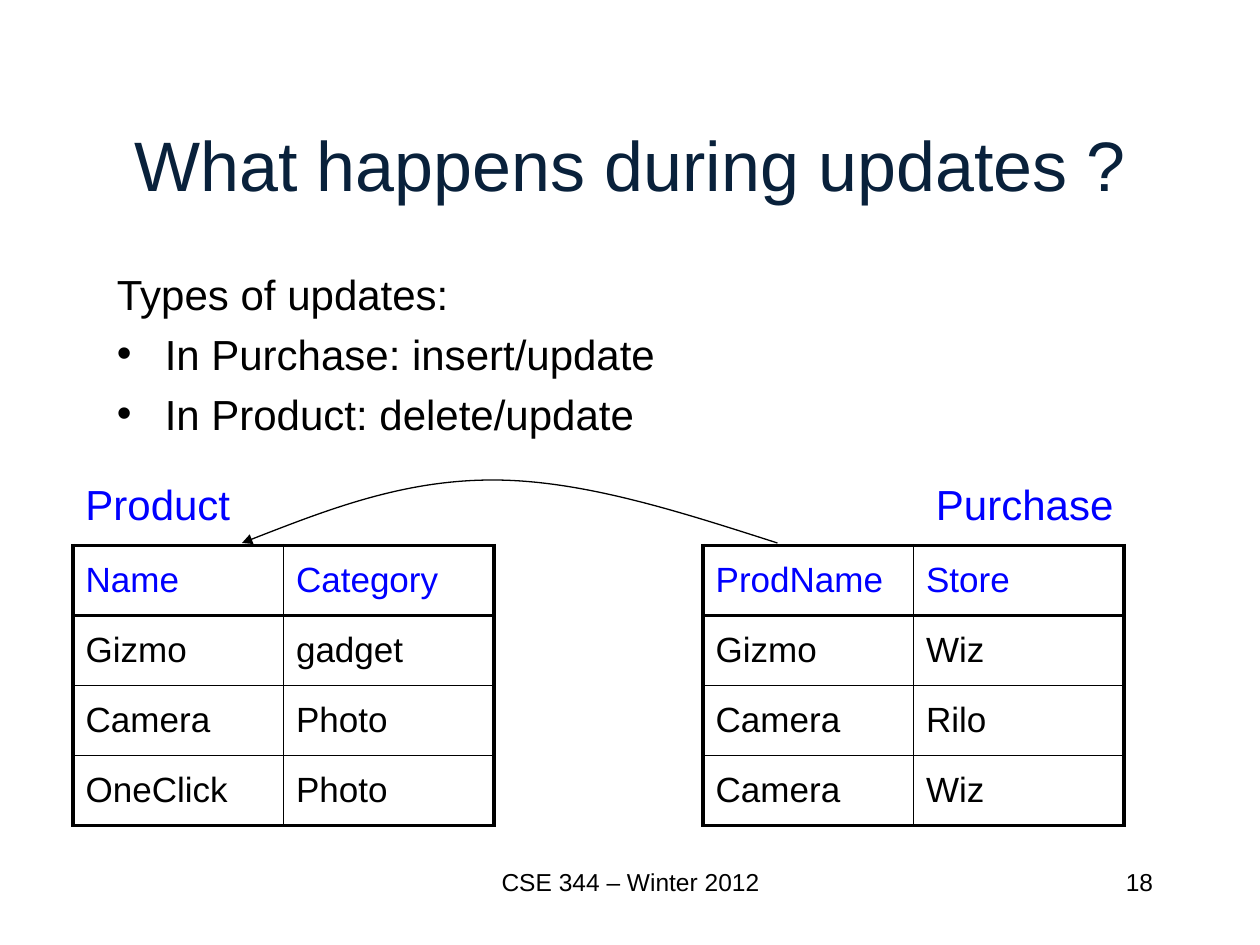
import pptx
import pptx.util
import pptx.dml.color
import pptx.enum.text
import pptx.oxml
import pptx.oxml.ns
from lxml import etree

Inches, Pt = pptx.util.Inches, pptx.util.Pt
qn = pptx.oxml.ns.qn
ALIGN = pptx.enum.text.PP_ALIGN
MIDDLE = pptx.enum.text.MSO_ANCHOR.MIDDLE
COLORS = {"title": "09213B", "accent": "0000FF", "text": "000000", "line": "000000"}


def rgb(name):
    return pptx.dml.color.RGBColor.from_string(COLORS[name])


class Deck:
    font = "Arial"
    thick, thin = 2.25, 1

    def __init__(self, width, height):
        self.prs = pptx.Presentation()
        self.prs.slide_width, self.prs.slide_height = Inches(width), Inches(height)
        self.s = self.prs.slides.add_slide(self.prs.slide_layouts[6])

    def run(self, p, text, size, color):
        r = p.add_run()
        r.text = text
        r.font.name, r.font.size = self.font, Pt(size)
        r.font.color.rgb = rgb(color)

    def text(self, box, lines, size, color="text", align=ALIGN.LEFT,
             anchor=pptx.enum.text.MSO_ANCHOR.TOP, wrap=True, before=0):
        tf = self.s.shapes.add_textbox(*map(Inches, box)).text_frame
        tf.word_wrap, tf.vertical_anchor = wrap, anchor
        for i, line in enumerate(lines):
            p = tf.add_paragraph() if i else tf.paragraphs[0]
            p.alignment, p.space_before = align, Pt(before)
            self.run(p, line, size, color)
        return tf

    def bullet(self, p, indent):
        pPr = p._p.get_or_add_pPr()
        pPr.set("marL", str(Inches(indent)))
        pPr.set("indent", str(-Inches(indent)))
        etree.SubElement(pPr, qn("a:buFont")).set("typeface", self.font)
        etree.SubElement(pPr, qn("a:buChar")).set("char", "•")

    def border(self, cell, side, width):
        ln = etree.Element(qn("a:ln" + side), w=str(Pt(width)))
        fill = etree.SubElement(ln, qn("a:solidFill"))
        etree.SubElement(fill, qn("a:srgbClr")).set("val", COLORS["line"])
        return ln

    def table(self, left, top, col_width, row_height, rows, size):
        n, m = len(rows), len(rows[0])
        table = self.s.shapes.add_table(
            n, m, Inches(left), Inches(top),
            Inches(col_width * m), Inches(row_height * n)).table
        table.first_row = table.horz_banding = False
        for i, row in enumerate(rows):
            for j, value in enumerate(row):
                cell = table.cell(i, j)
                cell.vertical_anchor = MIDDLE
                p = cell.text_frame.paragraphs[0]
                p.space_before = Pt(size * 0.2)
                self.run(p, value, size, "text" if i else "accent")
                # Thick outer frame and header rule, thin inner lines
                heavy = {"L": j == 0, "R": j == m - 1, "T": i < 2, "B": i in (0, n - 1)}
                for side, is_heavy in heavy.items():
                    width = self.thick if is_heavy else self.thin
                    cell._tc.get_or_add_tcPr().append(self.border(cell, side, width))
                cell.fill.background()

    def curve_arrow(self, start, points, width):
        """Draw cubic curves; points holds two controls and an end for each."""
        fb = self.s.shapes.build_freeform(*map(Inches, start), scale=1.0)
        fb.add_line_segments([(Inches(x), Inches(y)) for x, y in points], close=False)
        sp = fb.convert_to_shape()
        sp.shadow.inherit = False
        sp.fill.background()
        sp.line.color.rgb, sp.line.width = rgb("line"), Pt(width)
        segments = list(sp._element.iter(qn("a:lnTo")))
        for k in range(0, len(segments), 3):
            cubic = etree.Element(qn("a:cubicBezTo"))
            segments[k].addprevious(cubic)
            for segment in segments[k:k + 3]:
                cubic.append(segment[0])
                segment.getparent().remove(segment)
        ln = sp.line._get_or_add_ln()
        etree.SubElement(ln, qn("a:tailEnd")).set("type", "triangle")


deck = Deck(10, 7.5)

# Title and body
deck.text((0.75, 0.67, 8.5, 1.25), ["What happens during updates ?"], 40,
          "title", ALIGN.CENTER, MIDDLE)
body = deck.text((0.83, 2.08, 8.5, 4.5),
                 ["Types of updates:", "In Purchase: insert/update",
                  "In Product: delete/update"], 24, before=5.5)
for p in body.paragraphs[1:]:
    deck.bullet(p, 0.38)

# Tables with their names
product = [("Name", "Category"), ("Gizmo", "gadget"), ("Camera", "Photo"),
           ("OneClick", "Photo")]
purchase = [("ProdName", "Store"), ("Gizmo", "Wiz"), ("Camera", "Rilo"),
            ("Camera", "Wiz")]
for left, rows in ((0.58, product), (5.58, purchase)):
    deck.table(left, 4.33, 1.67, 0.556, rows, 20)
for left, width, name in ((0.58, 1.37, "Product"), (7.33, 1.62, "Purchase")):
    deck.text((left, 3.75, width, 0.5), [name], 24, "accent", wrap=False)

# Reference from ProdName to Name
deck.curve_arrow((6.17, 4.31), [(5.39, 4.06), (4.62, 3.81), (3.91, 3.81),
                                (3.2, 3.81), (2.56, 4.06), (1.92, 4.31)], 0.75)

# Footer
deck.text((3.17, 6.83, 3.67, 0.5), ["CSE 344 – Winter 2012"], 14, align=ALIGN.CENTER)
deck.text((7.17, 6.83, 2.08, 0.5), ["18"], 14, align=ALIGN.RIGHT)

deck.prs.save("out.pptx")
